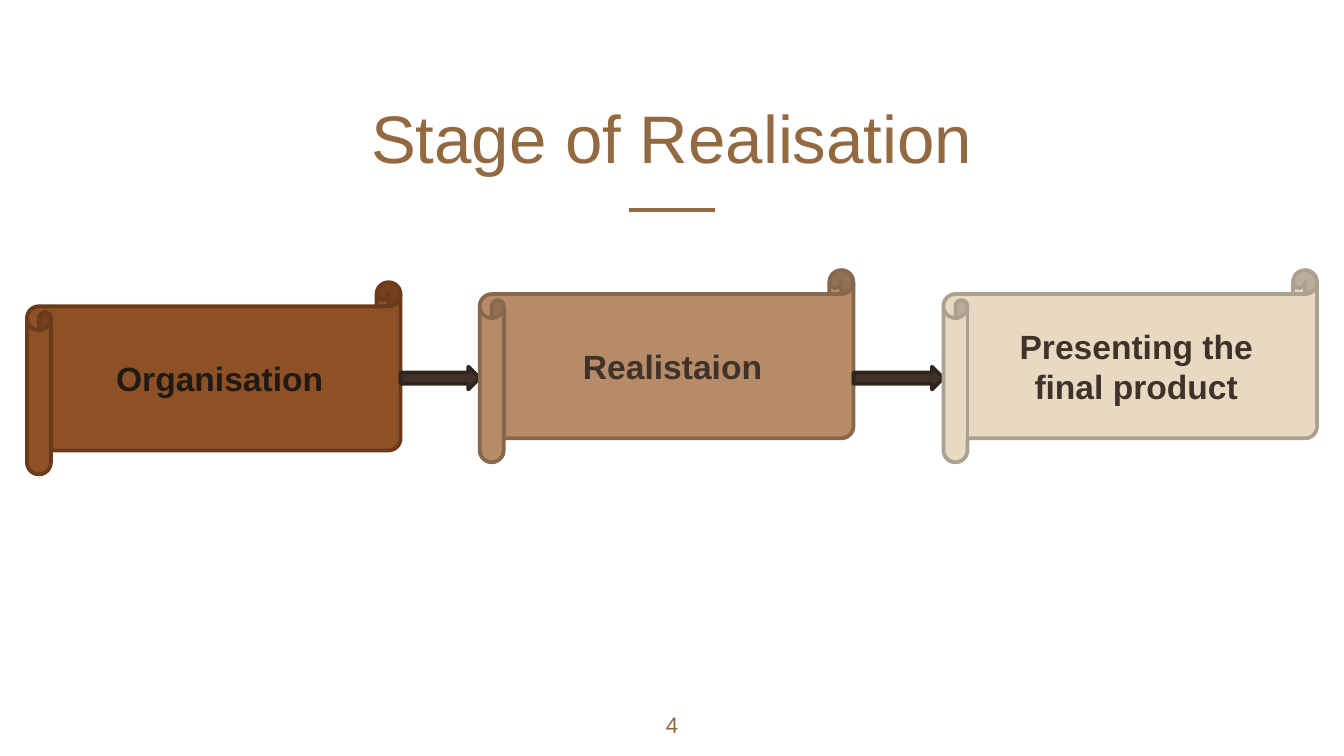
import pptx
import pptx.util
import pptx.dml.color
import pptx.enum.shapes
import pptx.enum.text
import pptx.oxml

Pt = pptx.util.Pt
SHAPES = pptx.enum.shapes.MSO_SHAPE
ANCHOR = pptx.enum.text.MSO_ANCHOR

THEME = {
    "font": "Arial",
    "accent": "926940",
    "arrow_fill": "403228",
    "arrow_line": "2F251E",
    "title_size": 36,
    "stage_size": 18,
    "number_size": 12,
    "rule_width": 2.25,
    "outline_width": 2,
}

TITLE = "Stage of Realisation"
PAGE_NUMBER = "4"
# text, left, top, fill, outline, text colour
STAGES = [
    ("Organisation", 14.4, 151.2, "8E5025", "693B1B", "201914"),
    ("Realistaion", 257, 144.7, "B68C68", "87684D", "403228"),
    ("Presenting the final product", 505.4, 144.7, "E8DAC2", "ACA190", "403228"),
]

SLIDE_WIDTH, SLIDE_HEIGHT = 720, 405
SCROLL_WIDTH, SCROLL_HEIGHT = 200.2, 103
ARROW_TOP, ARROW_HEIGHT = 196.5, 12.2
RULE_WIDTH, RULE_TOP = 46, 112.4


def rgb(value):
    return pptx.dml.color.RGBColor.from_string(value)


def write(frame, text, size, color, anchor, inset_x=7.2, inset_y=7.2, bold=False):
    frame_format = {
        "word_wrap": True, "vertical_anchor": anchor,
        "margin_left": Pt(inset_x), "margin_right": Pt(inset_x),
        "margin_top": Pt(inset_y), "margin_bottom": Pt(inset_y),
    }
    for name, value in frame_format.items():
        setattr(frame, name, value)
    paragraph = frame.paragraphs[0]
    paragraph.alignment = pptx.enum.text.PP_ALIGN.CENTER
    run = paragraph.add_run()
    run.text = text
    for name, value in {"name": THEME["font"], "size": Pt(size), "bold": bold}.items():
        setattr(run.font, name, value)
    run.font.color.rgb = rgb(color)


def add_centred_text(slide, text, top, width, height, size, anchor):
    left = (SLIDE_WIDTH - width) / 2
    box = slide.shapes.add_textbox(Pt(left), Pt(top), Pt(width), Pt(height))
    write(box.text_frame, text, size, THEME["accent"], anchor)


def add_outlined(slide, kind, left, top, width, height, fill, outline):
    shape = slide.shapes.add_shape(kind, Pt(left), Pt(top), Pt(width), Pt(height))
    shape.shadow.inherit = False
    shape.fill.solid()
    shape.fill.fore_color.rgb = rgb(fill)
    shape.line.color.rgb = rgb(outline)
    shape.line.width = Pt(THEME["outline_width"])
    return shape


def add_rule(slide):
    left = (SLIDE_WIDTH - RULE_WIDTH) / 2
    rule = slide.shapes.add_connector(
        pptx.enum.shapes.MSO_CONNECTOR.STRAIGHT,
        Pt(left), Pt(RULE_TOP), Pt(left + RULE_WIDTH), Pt(RULE_TOP))
    rule.line.color.rgb = rgb(THEME["accent"])
    rule.line.width = Pt(THEME["rule_width"])
    rule._element.spPr.append(pptx.oxml.parse_xml(
        '<a:effectLst xmlns:a="http://schemas.openxmlformats.org/drawingml/2006/main"/>'))


def add_stages(slide):
    """Draw the scrolls, with an arrow filling each gap between neighbours."""
    previous_right = None
    for text, left, top, fill, outline, color in STAGES:
        if previous_right is not None:
            add_outlined(slide, SHAPES.RIGHT_ARROW, previous_right, ARROW_TOP,
                         left - previous_right, ARROW_HEIGHT,
                         THEME["arrow_fill"], THEME["arrow_line"])
        scroll = add_outlined(slide, SHAPES.HORIZONTAL_SCROLL, left, top,
                              SCROLL_WIDTH, SCROLL_HEIGHT, fill, outline)
        write(scroll.text_frame, text, THEME["stage_size"], color,
              ANCHOR.MIDDLE, inset_y=3.6, bold=True)
        previous_right = left + SCROLL_WIDTH


def main():
    deck = pptx.Presentation()
    deck.slide_width, deck.slide_height = Pt(SLIDE_WIDTH), Pt(SLIDE_HEIGHT)
    slide = deck.slides.add_slide(deck.slide_layouts[6])
    add_rule(slide)
    add_centred_text(slide, TITLE, 34.6, 422.8, 67.6, THEME["title_size"], ANCHOR.BOTTOM)
    add_centred_text(slide, PAGE_NUMBER, 373.8, 43.2, 31, THEME["number_size"], ANCHOR.TOP)
    add_stages(slide)
    deck.save("out.pptx")


if __name__ == "__main__":
    main()
